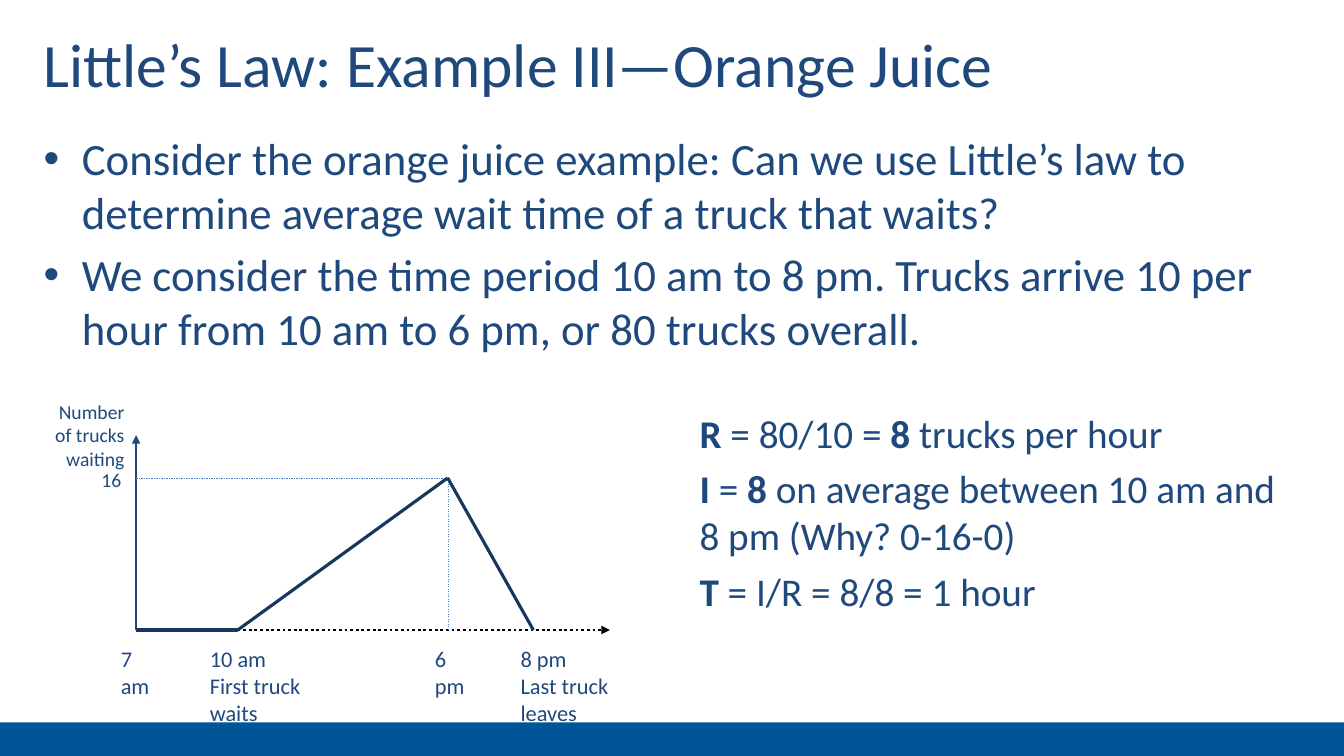
from dataclasses import dataclass
from typing import NamedTuple

from lxml.etree import SubElement
from pptx import Presentation
from pptx.dml.color import RGBColor
from pptx.enum.dml import MSO_LINE
from pptx.enum.shapes import MSO_CONNECTOR, MSO_SHAPE
from pptx.enum.text import MSO_ANCHOR, PP_ALIGN
from pptx.oxml.ns import qn
from pptx.util import Inches, Pt

COLUMNS, ROWS = 160, 90
CELL = Inches(7.5) / ROWS


@dataclass(frozen=True)
class Theme:
    font: str = "Calibri"
    text: str = "1F497D"
    curve: str = "17375E"
    guide: str = "4B7EBC"
    time_axis: str = "000000"
    band: str = "005596"
    title_size: float = 44
    body_size: float = 32
    formula_size: float = 28
    tick_size: float = 16
    axis_size: float = 14
    axis_width: float = 2
    curve_width: float = 2.25
    guide_width: float = 0.25
    gap: float = 6


THEME = Theme()


class Box(NamedTuple):
    """Left, top, width and height in grid cells."""
    left: float
    top: float
    width: float
    height: float

    def inner(self, left, top, width, height):
        return Box(self.left + left, self.top + top, width, height)

    def emu(self):
        return [round(length * CELL) for length in self]


def add_text(slide, box, paragraphs, size, gap=0, align=PP_ALIGN.LEFT,
             anchor=MSO_ANCHOR.TOP, bullet=False):
    """Each paragraph is a list of runs; a run in a tuple is bold."""
    frame = slide.shapes.add_textbox(*box.emu()).text_frame
    frame.word_wrap = True
    frame.vertical_anchor = anchor
    for index, runs in enumerate(paragraphs):
        paragraph = frame.add_paragraph() if index else frame.paragraphs[0]
        paragraph.alignment = align
        if index:
            paragraph.space_before = Pt(gap)
        if bullet:
            properties = paragraph._p.get_or_add_pPr()
            indent = Inches(0.38)
            properties.set("marL", str(indent))
            properties.set("indent", str(-indent))
            SubElement(properties, qn("a:buFont")).set("typeface", "Arial")
            SubElement(properties, qn("a:buChar")).set("char", "•")
        paragraph.font.name = THEME.font
        paragraph.font.size = Pt(size)
        paragraph.font.color.rgb = RGBColor.from_string(THEME.text)
        for part in runs:
            run = paragraph.add_run()
            if isinstance(part, tuple):
                run.font.bold = True
                part = part[0]
            run.text = part


def add_line(slide, box, start, end, color, width, dash=None, arrow=False):
    """Draw between two points measured from the corner of the box."""
    ends = [round((point[axis] + box[axis]) * CELL)
            for point in (start, end) for axis in (0, 1)]
    connector = slide.shapes.add_connector(MSO_CONNECTOR.STRAIGHT, *ends)
    connector.line.color.rgb = RGBColor.from_string(color)
    connector.line.width = Pt(width)
    if dash:
        connector.line.dash_style = dash
    if arrow:
        SubElement(connector.line._get_or_add_ln(), qn("a:tailEnd")).set("type", "triangle")
    SubElement(connector._element.spPr, qn("a:effectLst"))


def add_band(slide, box):
    band = slide.shapes.add_shape(MSO_SHAPE.RECTANGLE, *box.emu())
    band.shadow.inherit = False
    band.fill.solid()
    band.fill.fore_color.rgb = RGBColor.from_string(THEME.band)
    band.line.fill.background()


def add_queue_graph(slide, box):
    """Trucks waiting over the day, with axes, guides and labels."""
    base, peak = 28, 9.9
    opening, first_wait, last_arrival, last_leave = 12.2, 24.3, 49.3, 59.5
    origin, summit = (opening, base), (last_arrival, peak)

    add_line(slide, box, origin, (opening, 4.8), THEME.text, THEME.axis_width, arrow=True)
    add_line(slide, box, origin, (68.6, base), THEME.time_axis, THEME.axis_width,
             MSO_LINE.ROUND_DOT, arrow=True)
    for foot in ((opening, peak), (last_arrival, base)):
        add_line(slide, box, foot, summit, THEME.guide, THEME.guide_width, MSO_LINE.DASH)
    curve = [origin, (first_wait, base), summit, (last_leave, base)]
    for start, end in zip(curve, curve[1:]):
        add_line(slide, box, start, end, THEME.curve, THEME.curve_width)

    add_text(slide, box.inner(0, 0, 12, 5.9), [["Number of trucks waiting"]],
             THEME.axis_size, align=PP_ALIGN.RIGHT)
    add_text(slide, box.inner(6.9, 8.1, 5, 3.5), [["16"]], THEME.axis_size)
    ticks = [
        (opening - 3, 6.2, ["7 am"]),
        (first_wait - 4.5, 17.2, ["10 am", "First truck waits"]),
        (last_arrival - 2.7, 6.2, ["6 pm"]),
        (last_leave - 2.7, 19.6, ["8 pm", "Last truck leaves"]),
    ]
    for left, width, lines in ticks:
        add_text(slide, box.inner(left, base + 1.2, width, 5.8),
                 [[line] for line in lines], THEME.tick_size)


def add_formulas(slide, box):
    add_text(slide, box, [
        [("R",), " = 80/10 = ", ("8",), " trucks per hour"],
        [("I ",), "=", (" 8",), " on average between 10 am and 8 pm (Why? 0-16-0)"],
        [("T",), " = I/R = 8/8 = 1 hour"],
    ], THEME.formula_size, THEME.gap)


def build_example_slide(slide):
    add_band(slide, Box(0, 86, COLUMNS, ROWS - 86))
    add_text(slide, Box(4, 2, 152, 11), [["Little’s Law: Example III—Orange Juice"]],
             THEME.title_size, anchor=MSO_ANCHOR.MIDDLE)
    add_text(slide, Box(4, 15, 152, 29.2), [
        ["Consider the orange juice example: Can we use Little’s law to "
         "determine average wait time of a truck that waits?"],
        ["We consider the time period 10 am to 8 pm. Trucks arrive 10 per "
         "hour from 10 am to 6 pm, or 80 trucks overall."],
    ], THEME.body_size, THEME.gap, bullet=True)
    add_queue_graph(slide, Box(4, 47, 76.4, 39))
    add_formulas(slide, Box(82.1, 48.1, 73.9, 25.4))


def main():
    presentation = Presentation()
    presentation.slide_width = round(COLUMNS * CELL)
    presentation.slide_height = round(ROWS * CELL)
    build_example_slide(presentation.slides.add_slide(presentation.slide_layouts[6]))
    presentation.save("out.pptx")


if __name__ == "__main__":
    main()
